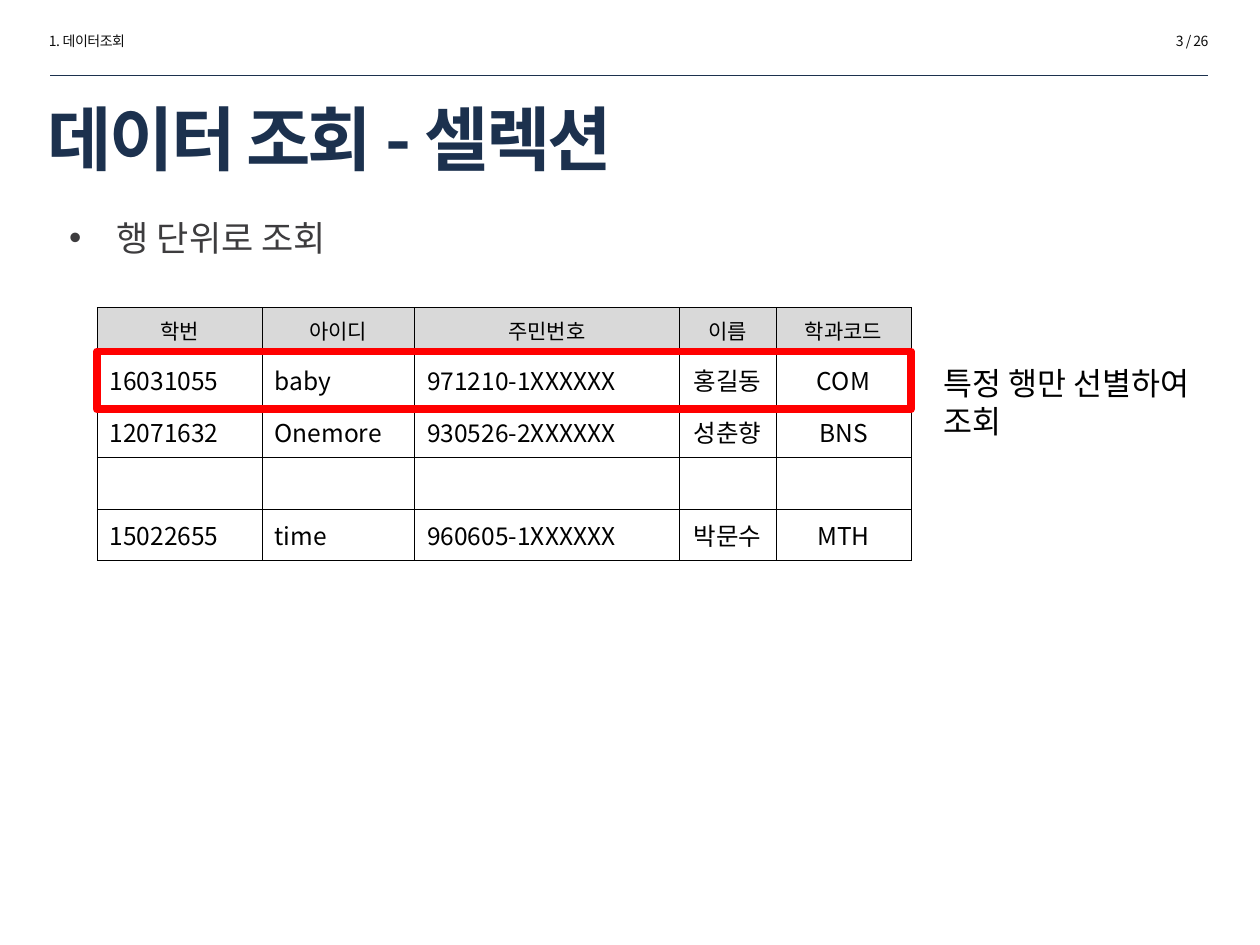
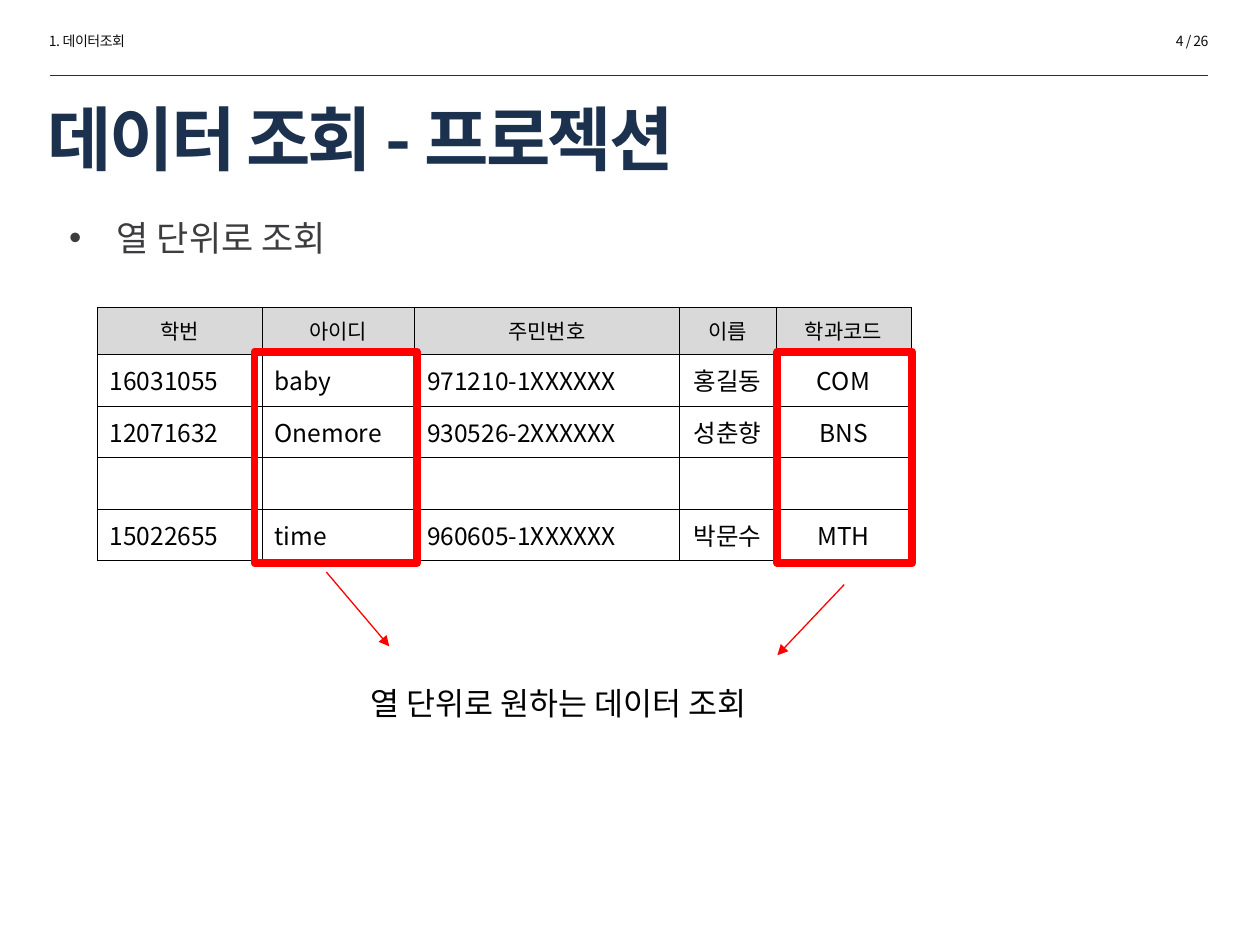
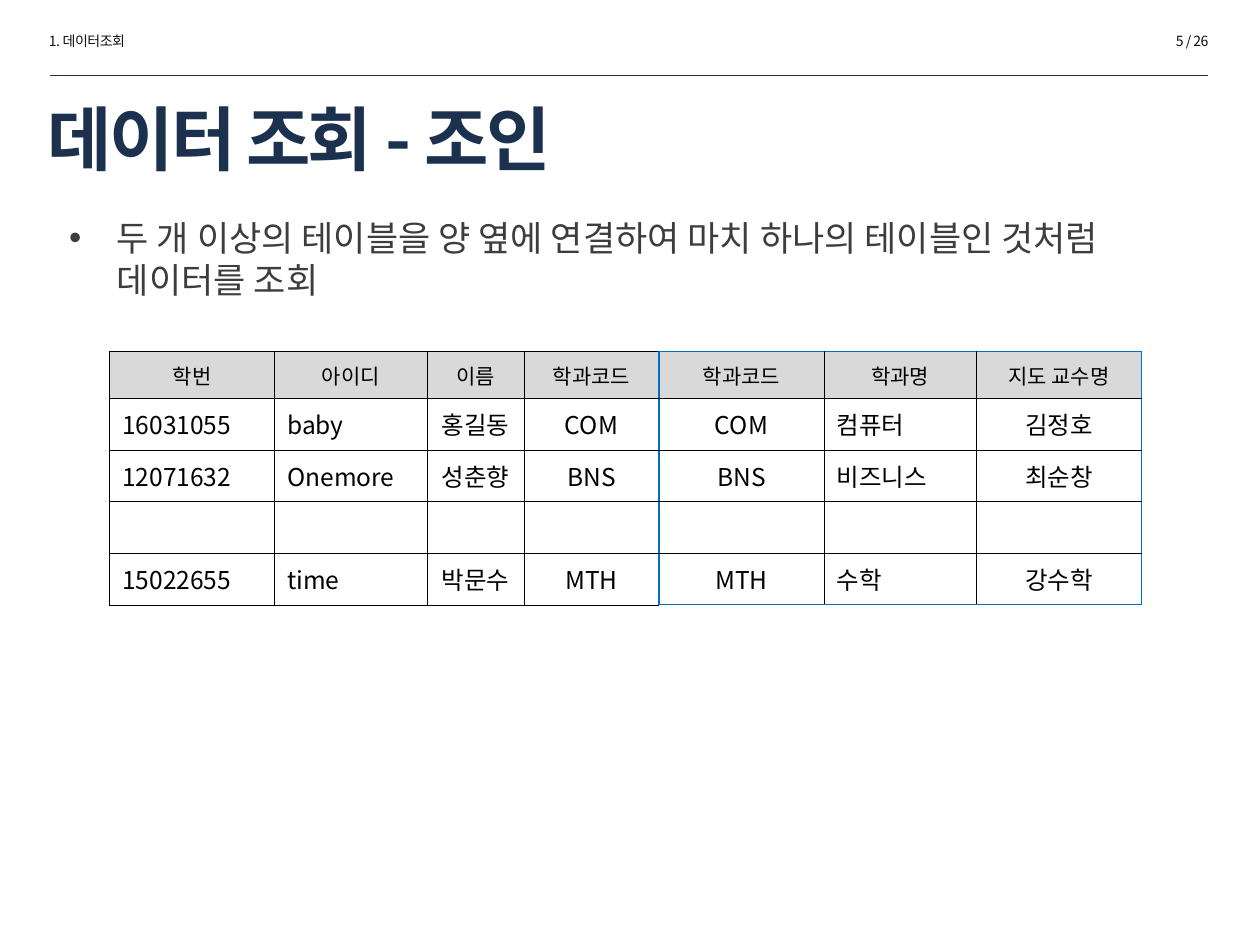
from lxml import etree
from pptx import Presentation
from pptx import util as u
from pptx.dml.color import RGBColor
from pptx.enum import shapes, text
from pptx.oxml.ns import qn

FONT = "Noto Sans CJK KR"
COLORS = {"navy": "1C314E", "ink": "0D0D0D", "body": "3D3C3E", "black": "000000",
          "header": "D9D9D9", "red": "FF0000", "blue": "0070C0"}
LEFT, CENTER, RIGHT = text.PP_ALIGN.LEFT, text.PP_ALIGN.CENTER, text.PP_ALIGN.RIGHT

SECTION, TOTAL_PAGES = "1. 데이터조회", 26
HEADER_ROW, BODY_ROW = 0.37, 0.41

# name: (width, alignment, header, values)
CODES = ["COM", "BNS", "", "MTH"]
STUDENT = {
    "number": (1.31, LEFT, "학번", ["16031055", "12071632", "", "15022655"]),
    "id": (1.21, LEFT, "아이디", ["baby", "Onemore", "", "time"]),
    "resident": (2.1, LEFT, "주민번호",
                 ["971210-1XXXXXX", "930526-2XXXXXX", "", "960605-1XXXXXX"]),
    "name": (0.77, CENTER, "이름", ["홍길동", "성춘향", "", "박문수"]),
    "code": (1.07, CENTER, "학과코드", CODES),
}
DEPARTMENT = [
    (1.31, CENTER, "학과코드", CODES),
    (1.21, LEFT, "학과명", ["컴퓨터", "비즈니스", "", "수학"]),
    (1.31, CENTER, "지도 교수명", ["김정호", "최순창", "", "강수학"]),
]
ALL_STUDENT = list(STUDENT.values())
JOINED_STUDENT = [column for key, column in STUDENT.items() if key != "resident"]

# tables: (left, top, columns, outline colour, outline points)
SLIDES = [
    {"page": 3, "title": "데이터 조회 - 셀렉션", "bullet": "행 단위로 조회",
     "tables": [(0.77, 2.44, ALL_STUDENT, "black", 0.25)],
     "highlights": [(0.77, 2.79, 6.46, 0.46)],
     "notes": [("특정 행만 선별하여 조회", (7.39, 2.84, 2.2, 0.71))]},
    {"page": 4, "title": "데이터 조회 - 프로젝션", "bullet": "열 단위로 조회",
     "tables": [(0.77, 2.44, ALL_STUDENT, "black", 0.25)],
     "highlights": [(2.02, 2.79, 1.29, 1.68), (6.17, 2.79, 1.07, 1.68)],
     "notes": [("열 단위로 원하는 데이터 조회", (2.84, 5.38, 3.65, 0.4))],
     "arrows": [(6.7, 4.64, 6.17, 5.2), (2.59, 4.54, 3.09, 5.13)]},
    {"page": 5, "title": "데이터 조회 - 조인",
     "bullet": "두 개 이상의 테이블을 양 옆에 연결하여 마치 하나의 테이블인 것처럼 데이터를 조회",
     "tables": [(0.87, 2.79, JOINED_STUDENT, "black", 0.25),
                (5.23, 2.79, DEPARTMENT, "blue", 1)]},
]


def inches(values):
    return [u.Inches(value) for value in values]


def rgb(color):
    return RGBColor.from_string(COLORS[color])


def add_run(paragraph, content, size, color, bold=False, spacing=0):
    run = paragraph.add_run()
    run.text = content
    run.font.size, run.font.bold, run.font.name = u.Pt(size), bold, FONT
    run.font.color.rgb = rgb(color)
    properties = run.font._element
    etree.SubElement(properties, qn("a:ea"), typeface=FONT)
    if spacing:
        properties.set("spc", str(round(spacing * 100)))


def add_text(slide, content, box, size, color, align=LEFT,
             anchor=text.MSO_ANCHOR.TOP, **style):
    frame = slide.shapes.add_textbox(*inches(box)).text_frame
    frame.word_wrap, frame.vertical_anchor = True, anchor
    paragraph = frame.paragraphs[0]
    paragraph.alignment = align
    add_run(paragraph, content, size, color, **style)
    return paragraph


def add_bullet(slide, content):
    paragraph = add_text(slide, content, (0.45, 1.67, 9.26, 0.95), 20, "body")
    properties = paragraph._p.get_or_add_pPr()
    indent = u.Inches(0.38)
    properties.set("marL", str(indent))
    properties.set("indent", str(-indent))
    etree.SubElement(properties, qn("a:buFont"), typeface="Arial")
    etree.SubElement(properties, qn("a:buChar"), char="•")


def add_line(slide, ends, color, width, arrow=False):
    connector = slide.shapes.add_connector(shapes.MSO_CONNECTOR.STRAIGHT, *inches(ends))
    connector.line.color.rgb, connector.line.width = rgb(color), u.Pt(width)
    if arrow:
        etree.SubElement(connector.line._get_or_add_ln(), qn("a:tailEnd"), type="triangle")
    etree.SubElement(connector._element.spPr, qn("a:effectLst"))


def add_highlight(slide, box):
    frame = slide.shapes.add_shape(shapes.MSO_SHAPE.RECTANGLE, *inches(box))
    frame.shadow.inherit = False
    frame.fill.background()
    frame.line.color.rgb, frame.line.width = rgb("red"), u.Pt(4.5)


def set_border(cell, side, color, width):
    """Draw one side (L, R, T or B); call before the cell's fill is set."""
    line = etree.SubElement(cell._tc.get_or_add_tcPr(), qn(f"a:ln{side}"),
                            w=str(u.Pt(width)))
    fill = etree.SubElement(line, qn("a:solidFill"))
    etree.SubElement(fill, qn("a:srgbClr"), val=COLORS[color])


def add_table(slide, left, top, columns, outline, outline_width):
    row_count = 1 + len(columns[0][3])
    heights = [HEADER_ROW] + [BODY_ROW] * (row_count - 1)
    width = sum(column[0] for column in columns)
    table = slide.shapes.add_table(row_count, len(columns),
                                   *inches((left, top, width, sum(heights)))).table
    table.first_row = table.horz_banding = False
    for row, height in zip(table.rows, heights):
        row.height = u.Inches(height)
    for x, (column_width, align, header, values) in enumerate(columns):
        table.columns[x].width = u.Inches(column_width)
        for y, content in enumerate([header] + values):
            cell = table.cell(y, x)
            is_header = y == 0
            cell.vertical_anchor = text.MSO_ANCHOR.MIDDLE
            edges = {"L": x == 0, "R": x == len(columns) - 1,
                     "T": is_header, "B": y == row_count - 1}
            for side, is_outer in edges.items():
                border = (outline, outline_width) if is_outer else ("black", 0.25)
                set_border(cell, side, *border)
            if is_header:
                cell.fill.solid()
                cell.fill.fore_color.rgb = rgb("header")
            else:
                cell.fill.background()
            paragraph = cell.text_frame.paragraphs[0]
            paragraph.alignment = CENTER if is_header else align
            if content:
                add_run(paragraph, content, 12 if is_header else 14, "black")
            else:
                etree.SubElement(paragraph._p, qn("a:endParaRPr"), sz="1400")


def add_frame(slide, page, title):
    """Draw the section name, page number, rule and title every slide has."""
    add_text(slide, SECTION, (0.29, 0.21, 1.73, 0.24), 8, "ink", spacing=-0.3)
    add_text(slide, f"{page} / {TOTAL_PAGES}", (7.96, 0.21, 1.73, 0.24), 8, "ink",
             RIGHT, spacing=-0.3)
    add_line(slide, (0.4, 0.6, 9.59, 0.6), "navy", 0.25)
    add_text(slide, title, (0.28, 0.77, 7.65, 0.64), 40, "navy",
             anchor=text.MSO_ANCHOR.MIDDLE, bold=True, spacing=-1.5)


def main():
    presentation = Presentation()
    presentation.slide_width, presentation.slide_height = inches((10, 7.5))
    for content in SLIDES:
        slide = presentation.slides.add_slide(presentation.slide_layouts[6])
        add_frame(slide, content["page"], content["title"])
        add_bullet(slide, content["bullet"])
        for table in content["tables"]:
            add_table(slide, *table)
        for box in content.get("highlights", []):
            add_highlight(slide, box)
        for note, box in content.get("notes", []):
            add_text(slide, note, box, 18, "black")
        for ends in content.get("arrows", []):
            add_line(slide, ends, "red", 0.75, arrow=True)
    presentation.save("out.pptx")


if __name__ == "__main__":
    main()
